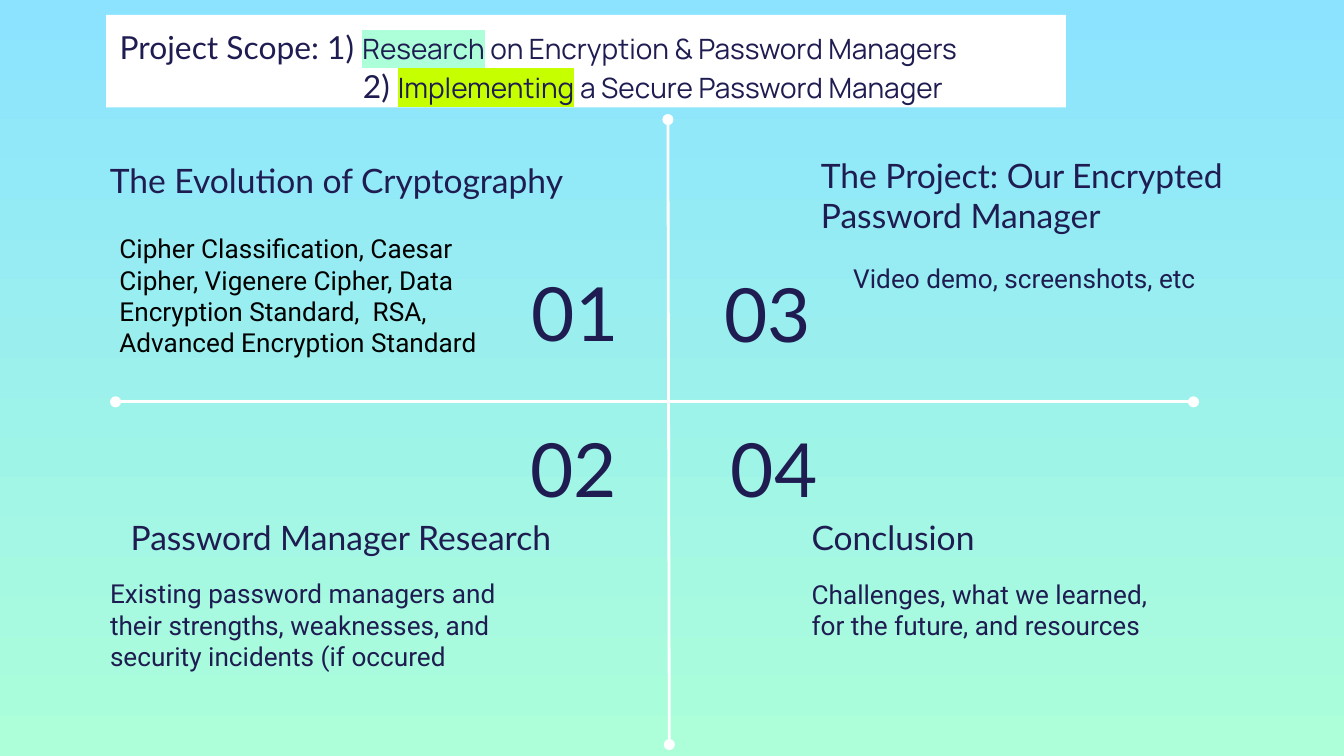
from lxml.etree import SubElement
from pptx import Presentation
from pptx.dml.color import RGBColor
from pptx.enum.shapes import MSO_CONNECTOR
from pptx.enum.text import MSO_ANCHOR, MSO_AUTO_SIZE, PP_ALIGN
from pptx.oxml.ns import qn
from pptx.util import Inches, Pt

THEME = {
    "ink": "1F1C51", "black": "000000", "white": "FFFFFF",
    "sky": "8BE3FF", "mint": "ACFFD9", "lime": "C6FF00",
    "number": ("Lato", 40), "heading": ("Lato", 18), "body": ("Roboto", 14),
    "label": ("Lato", 17), "scope": ("Manrope", 15),
    "axis": 1.5, "inset": 0.1,
}
LEFT, RIGHT = PP_ALIGN.LEFT, PP_ALIGN.RIGHT

SCOPE_BOX = (0.79, 0.11, 7.14, 0.69)
SCOPE = [
    (0, [("Project Scope: 1) ", "label", None), ("Research", "scope", "mint"),
         (" on Encryption & Password Managers", "scope", None)]),
    (1.81, [("2) ", "label", None), ("Implementing", "scope", "lime"),
            (" a Secure Password Manager", "scope", None)]),
]
AXES = [((4.97, 0.89), (4.98, 5.54)), ((0.86, 2.99), (8.88, 2.99))]
SECTIONS = [
    {"number": ("01", (3.86, 1.89, 0.86, 0.86), LEFT, "ink"),
     "heading": ("The Evolution of Cryptography", (0.28, 1.09, 4.01, 0.5), RIGHT, "ink"),
     "body": ("Cipher Classification, Caesar Cipher, Vigenere Cipher, Data Encryption "
              "Standard,  RSA, Advanced Encryption Standard",
              (0.79, 1.63, 2.98, 1.21), LEFT, "black")},
    {"number": ("02", (3.85, 3.05, 0.93, 0.86), LEFT, "ink"),
     "heading": ("Password Manager Research", (0.63, 3.75, 3.57, 0.5), RIGHT, "ink"),
     "body": ("Existing password managers and their strengths, weaknesses, and "
              "security incidents (if occured", (0.72, 4.2, 3.12, 0.96), LEFT, "ink")},
    {"number": ("03", (5.09, 1.9, 1.04, 0.86), RIGHT, "ink"),
     "heading": ("The Project: Our Encrypted Password Manager",
                 (6.01, 0.84, 3.81, 1.01), LEFT, "ink"),
     "body": ("Video demo, screenshots, etc", (6.25, 1.85, 2.98, 0.69), LEFT, "ink")},
    {"number": ("04", (5.32, 3.05, 0.86, 0.86), RIGHT, "ink"),
     "heading": ("Conclusion", (5.94, 3.75, 2.98, 0.5), LEFT, "ink"),
     "body": ("Challenges, what we learned, for the future, and resources",
              (5.94, 4.2, 2.98, 0.69), LEFT, "ink")},
]
ANCHORS = {"number": MSO_ANCHOR.MIDDLE, "heading": MSO_ANCHOR.BOTTOM, "body": MSO_ANCHOR.TOP}


def color(name):
    return RGBColor.from_string(THEME[name])


def style_font(font, role, ink="ink"):
    font.name, size = THEME[role]
    font.size = Pt(size)
    font.color.rgb = color(ink)


def set_frame(frame, anchor):
    frame.word_wrap = True
    frame.auto_size = MSO_AUTO_SIZE.NONE
    frame.vertical_anchor = anchor
    frame.margin_left = frame.margin_right = Inches(THEME["inset"])
    frame.margin_top = frame.margin_bottom = Inches(THEME["inset"])


def highlight(run, name):
    mark = SubElement(run.font._element, qn("a:highlight"))
    SubElement(mark, qn("a:srgbClr")).set("val", THEME[name])
    run.font._element.find(qn("a:solidFill")).addnext(mark)


def add_scope(title):
    title.left, title.top, title.width, title.height = map(Inches, SCOPE_BOX)
    title.fill.solid()
    title.fill.fore_color.rgb = color("white")
    frame = title.text_frame
    set_frame(frame, MSO_ANCHOR.TOP)
    for index, (indent, parts) in enumerate(SCOPE):
        line = frame.add_paragraph() if index else frame.paragraphs[0]
        line.alignment = LEFT
        line.line_spacing = 1.0
        line._p.get_or_add_pPr().set("marL", str(Inches(indent)))
        for text, role, mark in parts:
            run = line.add_run()
            run.text = text
            style_font(run.font, role)
            if mark:
                highlight(run, mark)


def add_axis(slide, start, end):
    axis = slide.shapes.add_connector(MSO_CONNECTOR.STRAIGHT, *map(Inches, start + end))
    axis.line.color.rgb = color("white")
    axis.line.width = Pt(THEME["axis"])
    outline = axis.line._get_or_add_ln()
    for tag in ("a:headEnd", "a:tailEnd"):
        SubElement(outline, qn(tag)).set("type", "oval")
    SubElement(axis._element.spPr, qn("a:effectLst"))


def add_text(slide, role, text, box, align, ink):
    frame = slide.shapes.add_textbox(*map(Inches, box)).text_frame
    set_frame(frame, ANCHORS[role])
    line = frame.paragraphs[0]
    line.text = text
    line.alignment = align
    style_font(line.font, role, ink)


def main():
    deck = Presentation()
    deck.slide_width, deck.slide_height = Inches(10), Inches(10 * 9 / 16)
    slide = deck.slides.add_slide(deck.slide_layouts[5])
    backdrop = slide.background.fill
    backdrop.gradient()
    backdrop.gradient_angle = 270
    for stop, name in zip(backdrop.gradient_stops, ("sky", "mint")):
        stop.color.rgb = color(name)
    add_scope(slide.shapes.title)
    for start, end in AXES:
        add_axis(slide, start, end)
    for section in SECTIONS:
        for role, content in section.items():
            add_text(slide, role, *content)
    deck.save("out.pptx")


if __name__ == "__main__":
    main()
